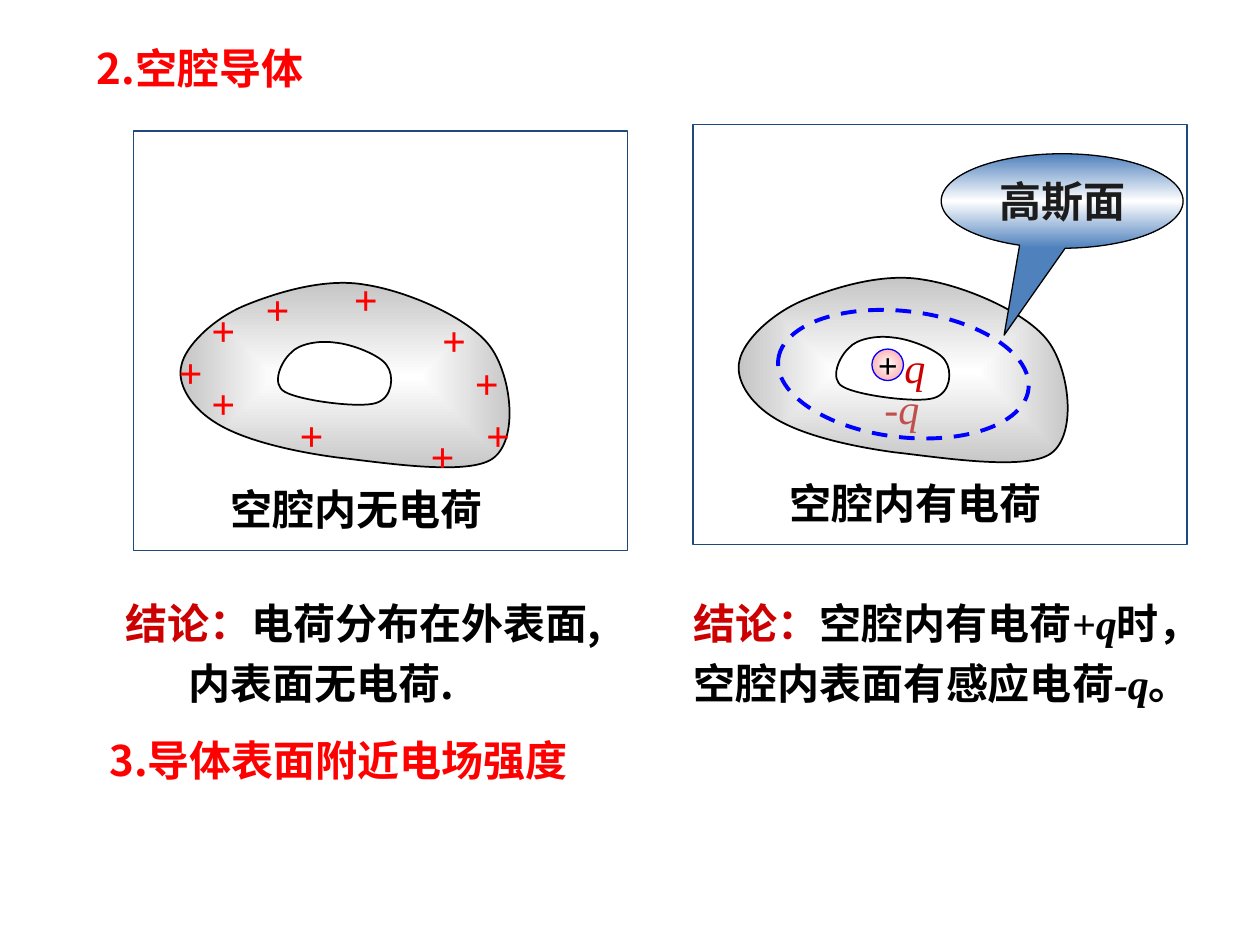
from lxml import etree
from pptx import Presentation
from pptx import util as u
from pptx.dml.color import RGBColor
from pptx.enum import dml, shapes, text
from pptx.oxml import parse_xml
from pptx.oxml.ns import nsdecls, qn

SANS, SERIF = "Noto Sans CJK SC", "Times New Roman"
RED, DARK, BLACK, WHITE = "FF0000", "CC0000", "000000", "FFFFFF"
NAVY, BLUE, STEEL, GREY = "1F497D", "0000FF", "4F81BD", "C2C2C2"
KIND = shapes.MSO_SHAPE

# Each outline: a start point, then two controls and an end point per curve.
BODY = [(1.44, 2.9), (1.47, 2.75), (1.68, 2.54), (1.93, 2.43),
        (2.17, 2.33), (2.57, 2.2), (2.9, 2.26),
        (3.23, 2.31), (3.72, 2.52), (3.89, 2.75),
        (4.06, 2.98), (4.12, 3.49), (3.91, 3.64),
        (3.71, 3.78), (3.03, 3.67), (2.67, 3.63),
        (2.3, 3.58), (1.93, 3.49), (1.72, 3.36),
        (1.52, 3.24), (1.4, 3.05), (1.44, 2.9)]
HOLE = [(2.31, 2.8), (2.37, 2.73), (2.53, 2.7), (2.66, 2.72),
        (2.79, 2.73), (3.02, 2.82), (3.07, 2.9),
        (3.13, 2.98), (3.12, 3.16), (2.98, 3.2),
        (2.85, 3.24), (2.38, 3.18), (2.26, 3.11),
        (2.15, 3.05), (2.23, 2.87), (2.31, 2.8)]
PLUSES = [(2.01, 2.2), (2.71, 2.12), (3.41, 2.45), (3.67, 2.79), (3.76, 3.2),
          (3.32, 3.37), (2.28, 3.2), (1.58, 2.37), (1.32, 2.7), (1.58, 2.95)]


def color(code):
    return RGBColor.from_string(code)


def grade(shape, stops, way):
    """Fill with a gradient: way is an angle in degrees or a path name."""
    if isinstance(way, str):
        tail = (f'<a:path path="{way}"><a:fillToRect l="50000" t="50000" '
                'r="50000" b="50000"/></a:path>')
    else:
        tail = f'<a:lin ang="{way * 60000}" scaled="1"/>'
    step = 100000 // (len(stops) - 1)
    body = "".join(f'<a:gs pos="{i * step}"><a:srgbClr val="{c}"/></a:gs>'
                   for i, c in enumerate(stops))
    shape.fill.background()
    old = shape._element.spPr.find(qn("a:noFill"))
    new = parse_xml(f'<a:gradFill {nsdecls("a")}><a:gsLst>{body}</a:gsLst>'
                    f'{tail}</a:gradFill>')
    old.getparent().replace(old, new)


def paint(shape, fill, line, width, way=None):
    """Fill is None, one colour, or a list of gradient stops."""
    shape.shadow.inherit = False
    if fill is None:
        shape.fill.background()
    elif isinstance(fill, list):
        grade(shape, fill, way)
    else:
        shape.fill.solid()
        shape.fill.fore_color.rgb = color(fill)
    shape.line.color.rgb = color(line)
    shape.line.width = u.Pt(width)
    return shape


def form(slide, kind, box, fill, line, width=0.75, way=None):
    shape = slide.shapes.add_shape(kind, *map(u.Inches, box))
    return paint(shape, fill, line, width, way)


def curve(slide, dots, shift, fill, way=None):
    """Draw a closed outline of cubic curves."""
    dx, dy = shift
    start, *rest = [(u.Inches(x + dx), u.Inches(y + dy)) for x, y in dots]
    pen = slide.shapes.build_freeform(*start)
    pen.add_line_segments(rest, close=True)
    shape = pen.convert_to_shape()
    lines = list(shape._element.iter(qn("a:lnTo")))
    for i in range(0, len(lines), 3):
        bend = etree.Element(qn("a:cubicBezTo"))
        lines[i].addprevious(bend)
        for line in lines[i:i + 3]:
            bend.append(line[0])
            line.getparent().remove(line)
    return paint(shape, fill, BLACK, 1, way)


def add_run(para, words, **look):
    run = para.add_run()
    run.text = words
    look = {"size": u.Pt(24), "name": SANS, "bold": True, **look}
    run.font.color.rgb = color(look.pop("ink", BLACK))
    for key, value in look.items():
        setattr(run.font, key, value)
    if look["name"] == SANS:
        etree.SubElement(run._r.rPr, qn("a:ea"), typeface=SANS)


def write(slide, box, *paras, wrap=True, gap=None):
    """Each paragraph is a list of (words, look) runs."""
    frame = slide.shapes.add_textbox(*map(u.Inches, box)).text_frame
    frame.word_wrap = wrap
    frame.auto_size = text.MSO_AUTO_SIZE.SHAPE_TO_FIT_TEXT
    for i, runs in enumerate(paras):
        para = frame.add_paragraph() if i else frame.paragraphs[0]
        if gap:
            para.line_spacing = gap
        for words, look in runs:
            add_run(para, words, **look)


def label(shape, words, **look):
    """Centre text inside a shape."""
    frame = shape.text_frame
    frame.vertical_anchor = text.MSO_ANCHOR.MIDDLE
    frame.word_wrap = False
    for side in ("left", "right", "top", "bottom"):
        setattr(frame, f"margin_{side}", 0)
    para = frame.paragraphs[0]
    para.alignment = text.PP_ALIGN.CENTER
    add_run(para, words, **look)


def panel(slide, left, top, fill, shift):
    form(slide, KIND.RECTANGLE, (left, top, 3.92, 3.33), fill, NAVY)
    curve(slide, BODY, shift, [WHITE, GREY], "rect")
    curve(slide, HOLE, shift, WHITE)


def empty(slide):
    """The cavity without a charge."""
    panel(slide, 1.06, 1.04, WHITE, (0, 0))
    for x, y in PLUSES:
        write(slide, (x, y, 0.39, 0.5), [("+", {"name": SERIF, "ink": RED})],
              wrap=False)
    write(slide, (1.73, 3.79, 2.33, 0.5), [("空腔内无电荷", {})])
    write(slide, (0.9, 4.61, 4.08, 1.02),
          [("结论：", {"ink": DARK}), ("电荷分布在外表面,", {})],
          [("\t内表面无电荷.", {})], gap=1.2)


def charged(slide):
    """The cavity with a charge q and its Gauss surface."""
    panel(slide, 5.5, 0.99, None, (4.43, -0.04))
    ball = form(slide, KIND.OVAL, (6.92, 2.77, 0.25, 0.25),
                [WHITE, "FF9999"], BLUE, way="circle")
    label(ball, "+", size=u.Pt(20), name=SERIF, italic=True)
    ring = form(slide, KIND.OVAL, (6.17, 2.47, 2, 1), None, BLUE, 2.25)
    ring.rotation = 6.8
    ring.line.dash_style = dml.MSO_LINE.DASH
    note = form(slide, KIND.OVAL_CALLOUT, (7.47, 1.22, 1.92, 0.75),
                [STEEL, WHITE, STEEL], BLACK, way=90)
    note.adjustments[0], note.adjustments[1] = -0.24, 1.42
    label(note, "高斯面", name=SERIF, ink="1C1C1C")
    for words, box, ink in (("q", (7.08, 2.66, 0.37, 0.5), DARK),
                            ("-q", (6.92, 2.99, 0.48, 0.5), "C0504D")):
        look = {"name": SERIF, "bold": False, "italic": True, "ink": ink}
        write(slide, box, [(words, look)], wrap=False)
    write(slide, (6.17, 3.74, 2.33, 0.5), [("空腔内有电荷", {})])
    math = {"name": SERIF, "italic": True}
    write(slide, (5.41, 4.61, 4.23, 1.02),
          [("结论：", {"ink": DARK}), ("空腔内有电荷", {}), ("+q", math),
           ("时，空腔内表面有感应电荷", {}), ("-q", math), ("。", {})], gap=1.2)


def main():
    deck = Presentation()
    deck.slide_width, deck.slide_height = u.Inches(10), u.Inches(7.5)
    slide = deck.slides.add_slide(deck.slide_layouts[6])
    write(slide, (0.67, 0.29, 2.71, 0.5), [("2.空腔导体", {"ink": RED})])
    empty(slide)
    charged(slide)
    write(slide, (0.77, 5.78, 4.08, 0.5),
          [("3.导体表面附近电场强度", {"ink": RED})])
    deck.save("out.pptx")


if __name__ == "__main__":
    main()
